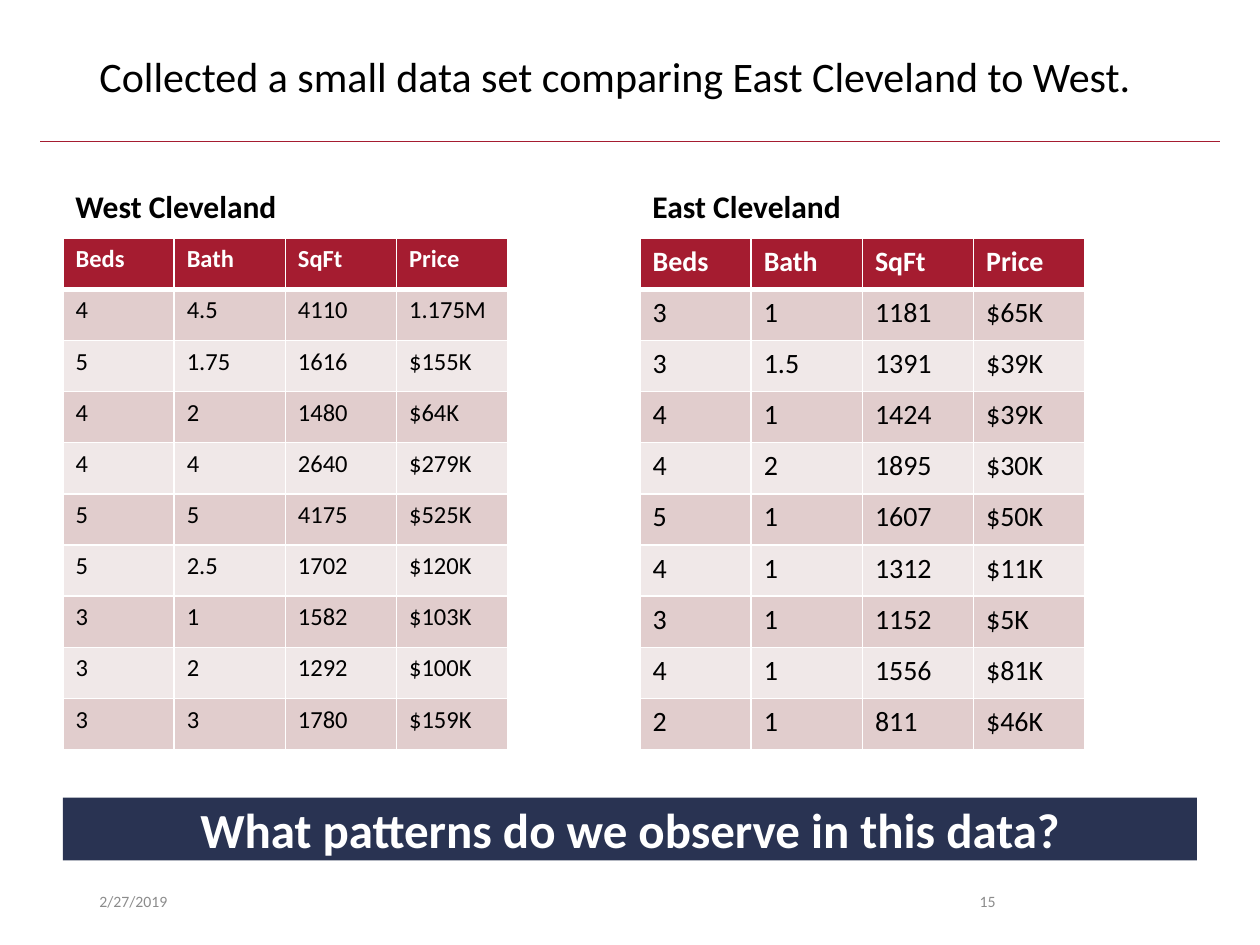
from dataclasses import dataclass

from lxml import etree
from pptx import Presentation
from pptx.dml.color import RGBColor
from pptx.enum.shapes import MSO_CONNECTOR, MSO_SHAPE
from pptx.enum.text import MSO_ANCHOR, PP_ALIGN
from pptx.oxml.ns import qn
from pptx.util import Inches, Pt

LEFT, CENTER, RIGHT = PP_ALIGN.LEFT, PP_ALIGN.CENTER, PP_ALIGN.RIGHT
TOP, MIDDLE, BOTTOM = MSO_ANCHOR.TOP, MSO_ANCHOR.MIDDLE, MSO_ANCHOR.BOTTOM
STRAIGHT, RECTANGLE = MSO_CONNECTOR.STRAIGHT, MSO_SHAPE.RECTANGLE


@dataclass(frozen=True)
class Theme:
    font: str = "Calibri"
    black: str = "000000"
    white: str = "FFFFFF"
    crimson: str = "A51C30"
    navy: str = "293352"
    gray: str = "8C8C8C"
    bands: tuple = ("E1CDCD", "F0E8E8")
    title: int = 24
    heading: int = 18
    west_cell: int = 14
    east_cell: int = 16
    question: int = 28
    footer: int = 9
    thin: int = 1
    thick: int = 3


THEME = Theme()
HEADER = ("Beds", "Bath", "SqFt", "Price")
WEST_HOMES = (
    ("4", "4.5", "4110", "1.175M"),
    ("5", "1.75", "1616", "$155K"),
    ("4", "2", "1480", "$64K"),
    ("4", "4", "2640", "$279K"),
    ("5", "5", "4175", "$525K"),
    ("5", "2.5", "1702", "$120K"),
    ("3", "1", "1582", "$103K"),
    ("3", "2", "1292", "$100K"),
    ("3", "3", "1780", "$159K"),
)
EAST_HOMES = (
    ("3", "1", "1181", "$65K"),
    ("3", "1.5", "1391", "$39K"),
    ("4", "1", "1424", "$39K"),
    ("4", "2", "1895", "$30K"),
    ("5", "1", "1607", "$50K"),
    ("4", "1", "1312", "$11K"),
    ("3", "1", "1152", "$5K"),
    ("4", "1", "1556", "$81K"),
    ("2", "1", "811", "$46K"),
)


def write(frame, text, size, color, bold=False, align=LEFT, spacing=1.0):
    frame.text = text
    para = frame.paragraphs[0]
    para.alignment = align
    para.line_spacing = spacing
    font = para.runs[0].font
    font.name = THEME.font
    font.size = Pt(size)
    font.bold = bold
    font.color.rgb = RGBColor.from_string(color)


def add_text(page, box, text, size, color, anchor=MIDDLE, **style):
    frame = page.shapes.add_textbox(*map(Inches, box)).text_frame
    frame.word_wrap = True
    frame.vertical_anchor = anchor
    write(frame, text, size, color, **style)


def set_borders(cell, top, bottom):
    properties = cell._tc.get_or_add_tcPr()
    widths = {"lnL": THEME.thin, "lnR": THEME.thin, "lnT": top, "lnB": bottom}
    for edge, width in widths.items():
        line = etree.SubElement(properties, qn(f"a:{edge}"), w=str(Pt(width)))
        fill = etree.SubElement(line, qn("a:solidFill"))
        etree.SubElement(fill, qn("a:srgbClr"), val=THEME.white)


def add_title(page, box, rule_left, rule_right, rule_top):
    rule = page.shapes.add_connector(
        STRAIGHT, *map(Inches, (rule_left, rule_top, rule_right, rule_top))
    )
    rule.line.color.rgb = RGBColor.from_string(THEME.crimson)
    rule.line.width = Pt(0.5)
    etree.SubElement(rule._element.spPr, qn("a:effectLst"))
    add_text(
        page, box, "Collected a small data set comparing East Cleveland to West.",
        THEME.title, THEME.black, anchor=TOP, spacing=0.9,
    )


def add_homes(page, box, heading, homes, size):
    left, top, width, height = box
    heading_height, gap, table_width = 0.47, 0.05, 3.53
    add_text(
        page, (left, top, width, heading_height), heading,
        THEME.heading, THEME.black, anchor=BOTTOM, bold=True, spacing=0.9,
    )
    rows = (HEADER, *homes)
    table_top = top + heading_height + gap
    table_height = height - heading_height - gap
    table = page.shapes.add_table(
        len(rows), len(HEADER),
        *map(Inches, (left, table_top, table_width, table_height)),
    ).table
    for column in table.columns:
        column.width = Inches(table_width / len(HEADER))
    for index, values in enumerate(rows):
        table.rows[index].height = Inches(table_height / len(rows))
        is_header = index == 0
        fill = THEME.crimson if is_header else THEME.bands[(index - 1) % 2]
        color = THEME.white if is_header else THEME.black
        upper = THEME.thick if index == 1 else THEME.thin
        lower = THEME.thick if is_header else THEME.thin
        for cell, value in zip(table.rows[index].cells, values):
            set_borders(cell, upper, lower)
            cell.fill.solid()
            cell.fill.fore_color.rgb = RGBColor.from_string(fill)
            write(cell.text_frame, value, size, color, bold=is_header)


def add_question(page, box):
    banner = page.shapes.add_shape(RECTANGLE, *map(Inches, box))
    banner.shadow.inherit = False
    banner.fill.solid()
    banner.fill.fore_color.rgb = RGBColor.from_string(THEME.navy)
    banner.line.fill.background()
    banner.text_frame.word_wrap = True
    banner.text_frame.vertical_anchor = MIDDLE
    write(
        banner.text_frame, "What patterns do we observe in this data?",
        THEME.question, THEME.white, bold=True, align=CENTER,
    )


def add_footer(page, box):
    left, top, width, height = box
    date_width, number_width = 2.25, 0.94
    add_text(
        page, (left, top, date_width, height), "2/27/2019", THEME.footer, THEME.gray
    )
    add_text(
        page, (left + width - number_width, top, number_width, height), "15",
        THEME.footer, THEME.gray, align=RIGHT,
    )


def main():
    deck = Presentation()
    deck.slide_width, deck.slide_height = Inches(10), Inches(7.5)
    page = deck.slides.add_slide(deck.slide_layouts[6])
    add_title(page, (0.69, 0.4, 8.62, 0.65), 0.32, 9.68, 1.12)
    add_homes(
        page, (0.5, 1.37, 4.24, 4.58), "West Cleveland", WEST_HOMES, THEME.west_cell
    )
    add_homes(
        page, (5.08, 1.37, 4.24, 4.58), "East Cleveland", EAST_HOMES, THEME.east_cell
    )
    add_question(page, (0.5, 6.33, 9, 0.5))
    add_footer(page, (0.69, 6.95, 7.31, 0.4))
    deck.save("out.pptx")


if __name__ == "__main__":
    main()
